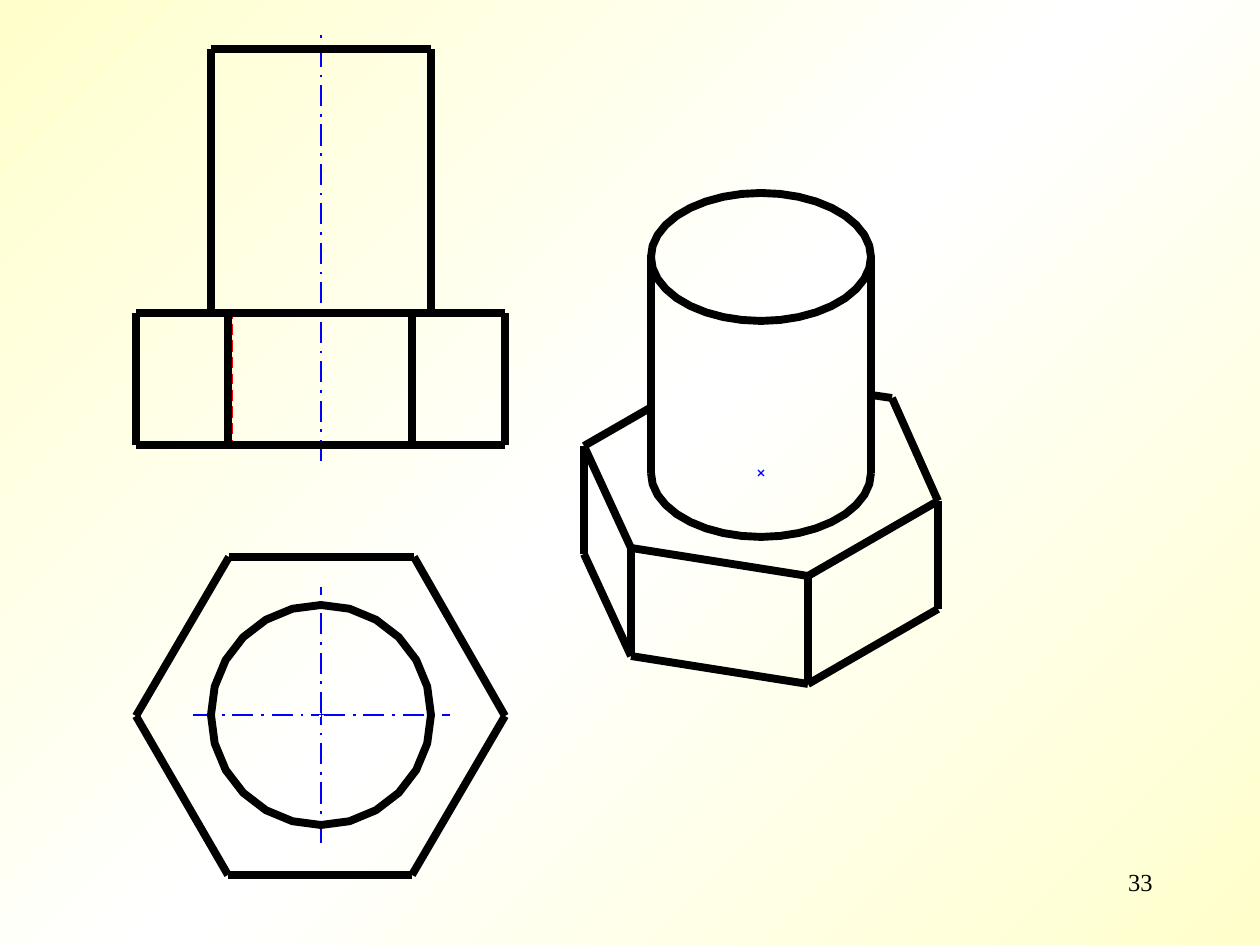
from copy import deepcopy
from math import cos, radians, sin

from lxml.etree import SubElement
from pptx import Presentation
from pptx.dml.color import RGBColor
from pptx.enum.dml import MSO_LINE
from pptx.enum.shapes import MSO_CONNECTOR
from pptx.enum.text import PP_ALIGN
from pptx.oxml.ns import qn
from pptx.util import Pt

PX = 914400 / 126
COLORS = {"edge": "000000", "axis": "0000FF", "hidden": "FF0000",
          "cream": "FFFFCC", "white": "FFFFFF"}
THICK, THIN = 4.5, 1.5


def draw_line(shapes, start, end, color="edge", width=THICK, dash=None):
    ends = [round(value * PX) for value in (*start, *end)]
    line = shapes.add_connector(MSO_CONNECTOR.STRAIGHT, *ends)
    line.line.color.rgb = RGBColor.from_string(COLORS[color])
    line.line.width = Pt(width)
    if dash:
        line.line.dash_style = dash
    SubElement(line._element.spPr, qn("a:effectLst"))


def draw_arc(shapes, center, radii, first, last, step):
    """Draw an elliptical arc as short chords, angles in degrees."""
    points = [((center[0] + radii[0] * cos(radians(a))) * PX,
               (center[1] + radii[1] * sin(radians(a))) * PX)
              for a in range(first, last + 1, step)]
    builder = shapes.build_freeform(*points[0], scale=1.0)
    builder.add_line_segments(points[1:], close=False)
    arc = builder.convert_to_shape()
    arc.shadow.inherit = False
    arc.fill.background()
    arc.line.color.rgb = RGBColor.from_string(COLORS["edge"])
    arc.line.width = Pt(THICK)


deck = Presentation()
deck.slide_width, deck.slide_height = round(1260 * PX), round(945 * PX)
slide = deck.slides.add_slide(deck.slide_layouts[6])
shapes = slide.shapes

# Background: cream corners, white diagonal
backdrop = slide.background.fill
backdrop.gradient()
backdrop.gradient_angle = 315
stop_list = slide._element.find(".//" + qn("a:gsLst"))
stop_list.insert(1, deepcopy(stop_list[0]))
for stop, position, tint in zip(backdrop.gradient_stops, (0, 0.5, 1),
                                ("cream", "white", "cream")):
    stop.position = position
    stop.color.rgb = RGBColor.from_string(COLORS[tint])

# Page number
page_number = shapes.add_textbox(*[round(v * PX) for v in (903, 861, 262, 63)])
page_number.text_frame.word_wrap = True
number = page_number.text_frame.paragraphs[0]
number.text = "33"
number.alignment = PP_ALIGN.RIGHT
number.font.name = "Times New Roman"
number.font.size = Pt(14)
number.font.color.rgb = RGBColor.from_string(COLORS["edge"])

# Centre mark and axes of the top and front views
axis_x, plan_y = 321, 715
for end in ((axis_x + 1, plan_y), (axis_x, plan_y - 1)):
    draw_line(shapes, (axis_x, plan_y), end, "axis")
for start, end in [((193, plan_y), (319, plan_y)), ((324, plan_y), (450, plan_y)),
                   ((axis_x, 843), (axis_x, 717)), ((axis_x, 713), (axis_x, 587)),
                   ((axis_x, 461), (axis_x, 32))]:
    draw_line(shapes, start, end, "axis", THIN, MSO_LINE.LONG_DASH_DOT)

# Front view: hidden edge dashes, then head and shank
head_top, head_bottom, shank_top = 313, 445, 49
dashes = [(head_top, 319), (440, head_bottom)]
dashes += [(round(324 + 16.5 * i), round(335 + 16.5 * i)) for i in range(7)]
for top, bottom in dashes:
    draw_line(shapes, (229, bottom), (229, top), "hidden")
head_xs = (136, 228, 412, 505)
for x in head_xs:
    draw_line(shapes, (x, head_bottom), (x, head_top))
for left, right in zip(head_xs, head_xs[1:]):
    for y in (head_top, head_bottom):
        draw_line(shapes, (left, y), (right, y))
draw_line(shapes, (211, shank_top), (431, shank_top))
for x in (211, 431):
    draw_line(shapes, (x, shank_top), (x, head_top))

# Top view: hexagon and shank circle
hexagon = [(505, 716), (412, 875), (228, 875), (136, 716), (229, 557), (414, 557)]
for start, end in zip(hexagon, hexagon[1:] + hexagon[:1]):
    draw_line(shapes, start, end)
draw_arc(shapes, (axis_x, plan_y), (110, 110), 0, 360, 15)

# Pictorial view: centre cross, head, shank
bolt = shapes.add_group_shape().shapes
center_x, base_y, rim_y, depth = 761, 473, 257, 108
for rise in (-3, 3):
    draw_line(bolt, (center_x - 3, base_y - rise), (center_x + 3, base_y + rise),
              "axis", 0.75)
front_rim = [(584, 446), (631, 548), (808, 576), (938, 501)]
head_rim = [(650, 408), *front_rim, (892, 398), (871, 395)]
head_base = [(x, y + depth) for x, y in front_rim]
for outline in (head_rim, head_base):
    for start, end in zip(outline, outline[1:]):
        draw_line(bolt, start, end)
for start, end in zip(front_rim, head_base):
    draw_line(bolt, start, end)
draw_arc(bolt, (center_x, base_y), (110, 64), 0, 180, 10)
draw_arc(bolt, (center_x, rim_y), (110, 64), 0, 360, 10)
for x in (center_x - 110, center_x + 110):
    draw_line(bolt, (x, rim_y), (x, base_y))

deck.save("out.pptx")
